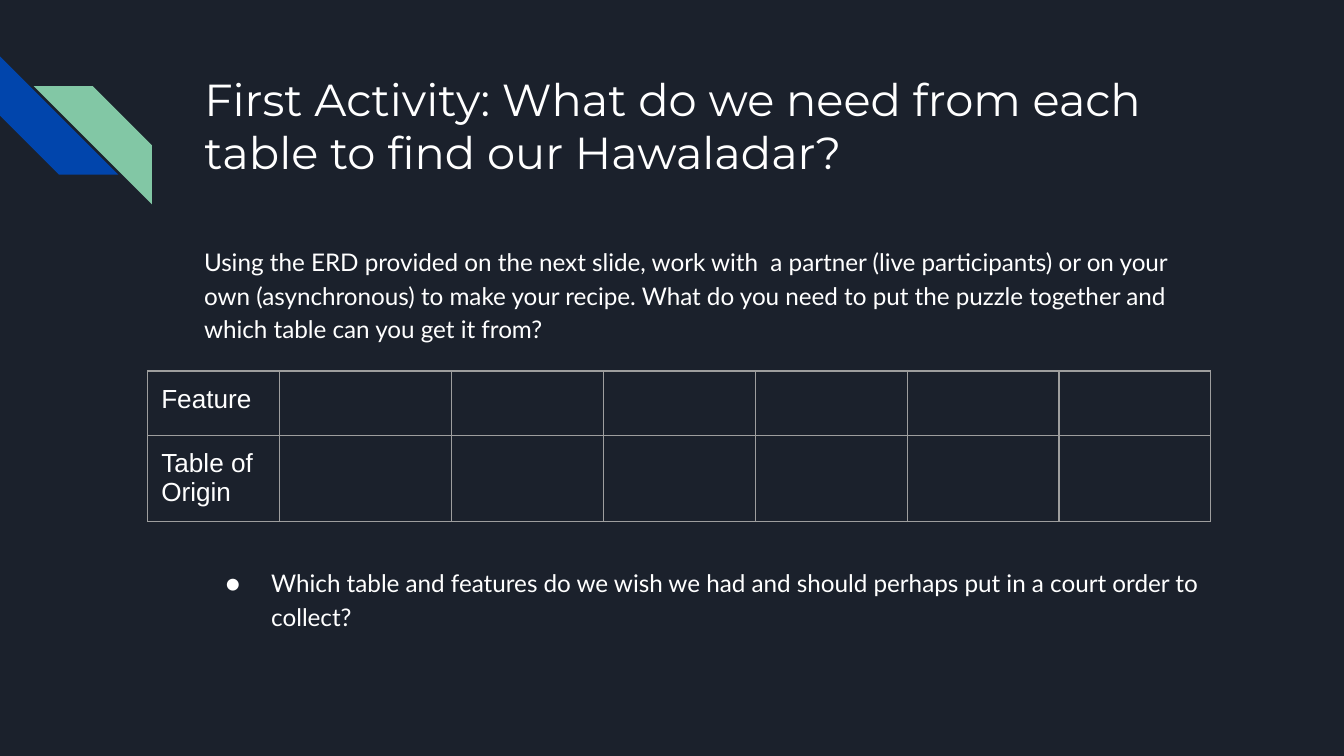
from dataclasses import dataclass

from lxml.etree import SubElement
from pptx import Presentation
from pptx.dml.color import RGBColor
from pptx.enum.shapes import MSO_SHAPE as Shape
from pptx.enum.text import MSO_ANCHOR as Anchor, MSO_AUTO_SIZE as Fit, PP_ALIGN as Align
from pptx.oxml import parse_xml
from pptx.oxml.ns import nsdecls, qn
from pptx.util import Inches, Pt

WHITE = "FFFFFF"
GREY = "9E9E9E"


@dataclass
class Stripe:
    left: float
    top: float
    color: str
    turn: int = 0
    flip: bool = False


STRIPES = [
    Stripe(0, 0.42, "0145AC", turn=270),
    Stripe(0.25, 0.64, "82C7A5", flip=True),
]
COLS = [0.98, 1.28] + [1.13] * 5
ROWS = [("Feature", 0.48), ("Table of Origin", 0.64)]
TASK = ("Using the ERD provided on the next slide, work with  a partner "
        "(live participants) or on your own (asynchronous) to make your recipe. "
        "What do you need to put the puzzle together and which table can you "
        "get it from?")
WISH = ("Which table and features do we wish we had and should perhaps put in "
        "a court order to collect?")


def paint(fill, color: str) -> None:
    fill.solid()
    fill.fore_color.rgb = RGBColor.from_string(color)


def write(para, text: str, *, font: str, size: float, color: str = WHITE,
          space: float = 1.0, before: float = 0, bullet: str = "") -> None:
    para.alignment = Align.LEFT
    para.line_spacing = space
    para.space_before = Pt(before)
    run = para.add_run()
    run.text = text
    run.font.name = font
    run.font.size = Pt(size)
    run.font.color.rgb = RGBColor.from_string(color)
    if bullet:
        props = para._p.get_or_add_pPr()
        props.set("marL", str(Inches(0.5)))
        props.set("indent", str(Inches(-0.34)))
        SubElement(props, qn("a:buSzPts")).set("val", str(size * 100))
        SubElement(props, qn("a:buFont")).set("typeface", font)
        SubElement(props, qn("a:buChar")).set("char", bullet)


def pad(box) -> None:
    """Give a text frame or a cell equal margins on all sides."""
    for side in ("left", "top", "right", "bottom"):
        setattr(box, f"margin_{side}", Inches(0.1))


def set_frame(frame) -> None:
    frame.word_wrap = True
    frame.auto_size = Fit.NONE
    frame.vertical_anchor = Anchor.TOP
    pad(frame)


def add_stripe(slide, item: Stripe) -> None:
    shape = slide.shapes.add_shape(
        Shape.DIAGONAL_STRIPE, Inches(item.left), Inches(item.top),
        Inches(0.88), Inches(0.88))
    shape.shadow.inherit = False
    shape.rotation = item.turn
    if item.flip:
        shape._element.spPr.find(qn("a:xfrm")).set("flipH", "1")
    paint(shape.fill, item.color)
    shape.line.fill.background()


def add_title(slide, text: str) -> None:
    title = slide.shapes.title
    title.left, title.top = Inches(1.42), Inches(0.43)
    title.width, title.height = Inches(7.7), Inches(1)
    set_frame(title.text_frame)
    write(title.text_frame.paragraphs[0], text, font="Montserrat", size=24)


def add_body(slide) -> None:
    frame = slide.shapes.add_textbox(
        Inches(1.42), Inches(1.71), Inches(7.7), Inches(3.18)).text_frame
    set_frame(frame)
    look = dict(font="Lato", size=13, space=1.15)
    write(frame.paragraphs[0], TASK, **look)
    write(frame.add_paragraph(), WISH, before=118, bullet="●", **look)


def rule(cell) -> None:
    """Draw a thin line on all four sides of a cell."""
    props = cell._tc.get_or_add_tcPr()
    for spot, side in enumerate("LRTB"):
        props.insert(spot, parse_xml(
            f'<a:ln{side} {nsdecls("a")} w="{Pt(0.75)}"><a:solidFill>'
            f'<a:srgbClr val="{GREY}"/></a:solidFill></a:ln{side}>'))


def add_grid(slide) -> None:
    table = slide.shapes.add_table(
        len(ROWS), len(COLS), Inches(1.1), Inches(2.76),
        Inches(sum(COLS)), Inches(sum(high for _, high in ROWS))).table
    table.first_row = table.horz_banding = False
    for col, wide in zip(table.columns, COLS):
        col.width = Inches(wide)
    for row, (label, high) in zip(table.rows, ROWS):
        row.height = Inches(high)
        for cell in row.cells:
            cell.fill.background()
            rule(cell)
        head = row.cells[0]
        pad(head)
        write(head.text_frame.paragraphs[0], label, font="Arial", size=14)


def main() -> None:
    deck = Presentation()
    deck.slide_width = Inches(10)
    deck.slide_height = deck.slide_width * 9 // 16
    slide = deck.slides.add_slide(deck.slide_layouts[5])
    paint(slide.background.fill, "1B212C")
    for item in STRIPES:
        add_stripe(slide, item)
    add_title(slide, "First Activity: What do we need from each table "
                     "to find our Hawaladar?")
    add_body(slide)
    add_grid(slide)
    deck.save("out.pptx")


if __name__ == "__main__":
    main()
